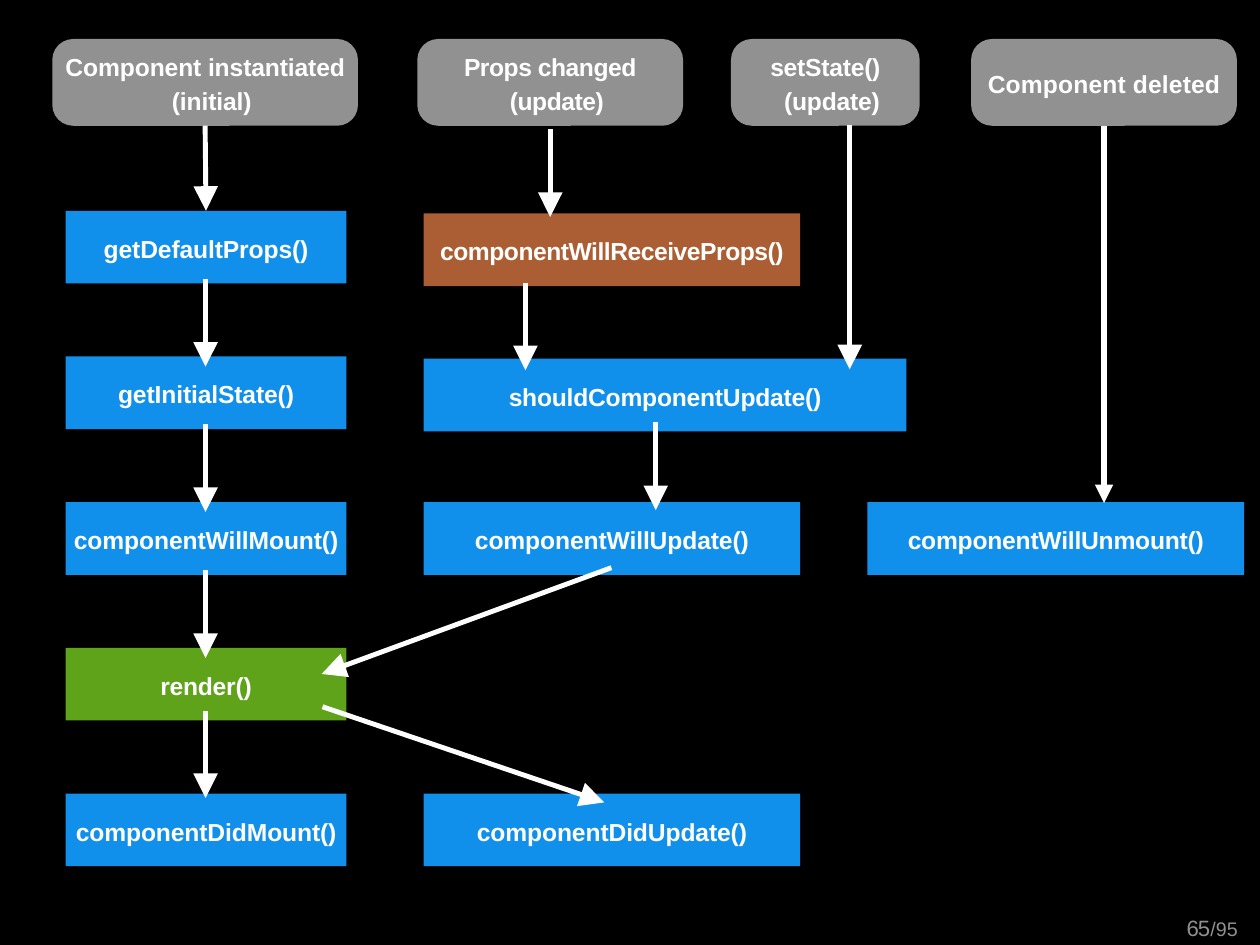
from lxml import etree
from pptx import Presentation, util as u
from pptx.dml.color import RGBColor
from pptx.enum import shapes, text
from pptx.oxml.ns import qn

THEME = {
    "font": "Arial", "size": 20, "page": 18, "total": 16,
    "black": "000000", "white": "FFFFFF", "gray": "919191",
    "blue": "1190EB", "brown": "AB5E33", "green": "5EA319",
}


def tint(name):
    return RGBColor.from_string(THEME[name])


def write(para, words, size, color, bold, track):
    """Add one run; track is the letter spacing in points."""
    run = para.add_run()
    run.text = words
    look = {"name": THEME["font"], "size": u.Pt(THEME[size]), "bold": bold}
    for key, value in look.items():
        setattr(run.font, key, value)
    run.font.color.rgb = tint(color)
    run._r.get_or_add_rPr().set("spc", str(round(track * 100)))


deck = Presentation()
deck.slide_width, deck.slide_height = u.Inches(14.22), u.Inches(10.67)
slide = deck.slides.add_slide(deck.slide_layouts[6])
slide.background.fill.solid()
slide.background.fill.fore_color.rgb = tint("black")

FRAME = {
    "word_wrap": True, "vertical_anchor": text.MSO_ANCHOR.MIDDLE,
    "margin_left": 0, "margin_right": 0, "margin_top": u.Inches(0.03), "margin_bottom": 0,
}

# Header events and lifecycle calls: lines, left, top, width, color, letter spacing
rows = [2.38 + 1.645 * step for step in range(5)]
left, mid = 0.74, 4.78
slim, wide = 3.17, 4.25
head_y, head_h, call_h = 0.44, 0.98, 0.82
boxes = [
    (["Component instantiated", "(initial)"], 0.59, head_y, 3.45, "gray", -0.1),
    (["Props changed", "(update)"], 4.71, head_y, 3, "gray", -0.4),
    (["setState()", "(update)"], 8.25, head_y, 2.13, "gray", -0.2),
    (["Component deleted"], 10.96, head_y, 3, "gray", 0.1),
    (["getDefaultProps()"], left, rows[0], slim, "blue", -0.1),
    (["getInitialState()"], left, rows[1], slim, "blue", -0.1),
    (["componentWillMount()"], left, rows[2], slim, "blue", -0.1),
    (["render()"], left, rows[3], slim, "green", -0.2),
    (["componentDidMount()"], left, rows[4], slim, "blue", -0.1),
    (["componentWillReceiveProps()"], mid, 2.41, wide, "brown", -0.4),
    (["shouldComponentUpdate()"], mid, 4.05, 5.45, "blue", -0.2),
    (["componentWillUpdate()"], mid, rows[2], wide, "blue", -0.1),
    (["componentDidUpdate()"], mid, rows[4], wide, "blue", -0.1),
    (["componentWillUnmount()"], 9.79, rows[2], wide, "blue", -0.2),
]
nodes = {}
for lines, x, y, width, color, track in boxes:
    head = color == "gray"
    kind = shapes.MSO_SHAPE.ROUNDED_RECTANGLE if head else shapes.MSO_SHAPE.RECTANGLE
    high = head_h if head else call_h
    box = slide.shapes.add_shape(kind, u.Inches(x), u.Inches(y), u.Inches(width), u.Inches(high))
    if head:
        box.adjustments[0] = 0.24
    box.shadow.inherit = False
    box.fill.solid()
    box.fill.fore_color.rgb = tint(color)
    box.line.fill.background()
    frame = box.text_frame
    for key, value in FRAME.items():
        setattr(frame, key, value)
    for place, words in enumerate(lines):
        para = frame.add_paragraph() if place else frame.paragraphs[0]
        para.alignment = text.PP_ALIGN.CENTER
        if place:
            para.line_spacing = 1.12
            para.space_before = u.Pt(1)
            para._p.get_or_add_pPr().set("marL", str(u.Inches(0.15)))
        write(para, words, "size", "white", True, track)
    nodes[lines[0]] = box

# Arrows: start, tip, line width, joined start box, joined tip box
axis = 2.32
arrows = [
    ((axis, 1.42), (axis, 2.38), 4, "Component instantiated", "getDefaultProps()"),
    ((axis, 3.15), (axis, 4.14), 4, None, None),
    ((axis, 4.79), (axis, 5.78), 4, None, None),
    ((axis, 6.44), (axis, 7.43), 4, None, None),
    ((axis, 8.03), (axis, 9.01), 4, None, None),
    ((6.21, 1.46), (6.21, 2.45), 4, None, None),
    ((5.93, 3.19), (5.93, 4.18), 4, None, None),
    ((7.4, 4.77), (7.4, 5.76), 4, None, None),
    ((9.59, 1.41), (9.59, 4.17), 4, None, None),
    ((6.9, 6.41), (3.63, 7.61), 4, None, None),
    ((3.64, 7.98), (6.82, 9.06), 4, None, None),
    ((12.46, 1.42), (12.46, 5.68), 5, "Component deleted", None),
]
for start, tip, weight, source, goal in arrows:
    arrow = slide.shapes.add_connector(
        shapes.MSO_CONNECTOR.STRAIGHT, *[u.Inches(n) for n in start + tip])
    if source:
        arrow.begin_connect(nodes[source], 2)
    if goal:
        arrow.end_connect(nodes[goal], 0)
    arrow.line.color.rgb = tint("white")
    arrow.line.width = u.Pt(weight)
    props = arrow.element.spPr
    scale = "lg" if weight == 4 else "med"
    etree.SubElement(props.find(qn("a:ln")), qn("a:tailEnd"), type="triangle", w=scale, len=scale)
    etree.SubElement(props, qn("a:effectLst"))

# Page number
page = slide.shapes.add_textbox(u.Inches(13.35), u.Inches(10.32), u.Inches(0.62), u.Inches(0.3))
for key, value in FRAME.items():
    setattr(page.text_frame, key, value)
page.text_frame.margin_top = 0
page.text_frame.vertical_anchor = text.MSO_ANCHOR.TOP
para = page.text_frame.paragraphs[0]
para.alignment = text.PP_ALIGN.RIGHT
write(para, "65", "page", "gray", False, -0.7)
write(para, "/95", "total", "gray", False, 0.1)

deck.save("out.pptx")
